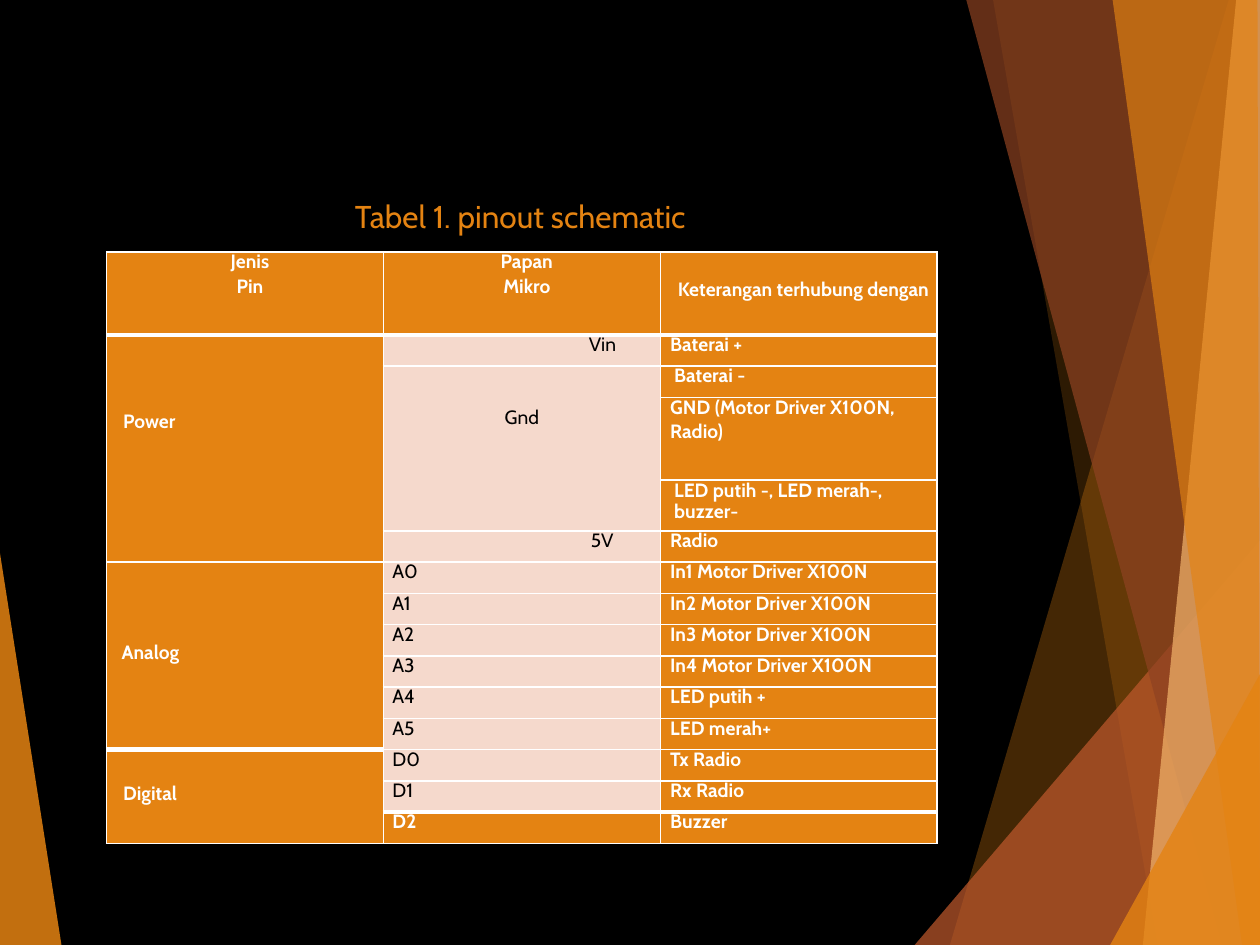
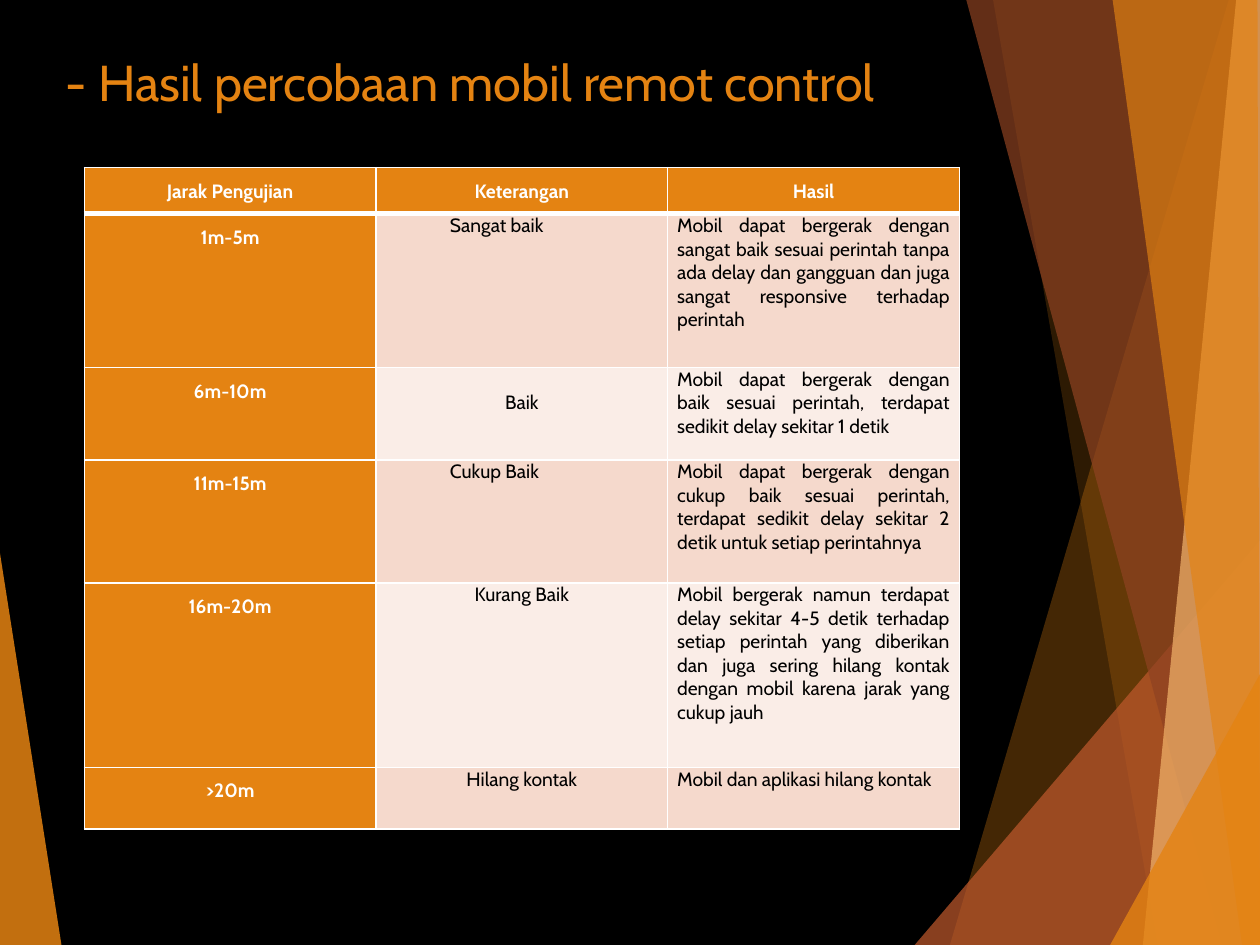
from dataclasses import dataclass, replace

from lxml import etree
from pptx import Presentation
from pptx.dml.color import RGBColor
from pptx.enum.text import PP_ALIGN
from pptx.oxml.ns import qn
from pptx.util import Cm, Pt

LEFT, CENTER, RIGHT, JUSTIFY = PP_ALIGN.LEFT, PP_ALIGN.CENTER, PP_ALIGN.RIGHT, PP_ALIGN.JUSTIFY


@dataclass(frozen=True)
class Theme:
    background: str = "000000"
    accent: str = "E48312"
    rust: str = "BD582C"
    brown: str = "8E4221"
    sand: str = "F3B56C"
    band_dark: str = "F5D9CC"
    band_light: str = "FAEDE7"
    light_text: str = "FFFFFF"
    dark_text: str = "000000"
    border: str = "FFFFFF"
    font: str = "Cabin"
    title_size: float = 28.8
    caption_size: float = 18
    cell_size: float = 11
    thin: float = 1
    thick: float = 3


@dataclass(frozen=True)
class CellStyle:
    fill: str
    color: str
    bold: bool = False
    align: PP_ALIGN = LEFT
    left: float = 0
    right: float = 0
    top: float = 0
    line_spacing: object = 1.0
    space_before: float = 0


THEME = Theme()
SLIDE_WIDTH, SLIDE_HEIGHT = 25.4, 19.05

FACETS = [
    (THEME.accent, 85, [(0, 11.15), (1.24, 19.05), (0, 19.05)]),
    (THEME.accent, 30, [(24.77, 0), (19.15, 19.05), (25.4, 19.05), (25.4, 0)]),
    (THEME.accent, 20, [(20.02, 0), (23.34, 19.05), (25.4, 19.05), (25.4, 0)]),
    (THEME.rust, 72, [(18.44, 19.05), (25.4, 10.9), (25.4, 19.05)]),
    (THEME.brown, 70, [(19.48, 0), (24.64, 19.05), (25.4, 19.05), (25.4, 0)]),
    (THEME.sand, 70, [(24.92, 0), (23.04, 19.05), (25.4, 19.05), (25.4, 0)]),
    (THEME.accent, 65, [(22.43, 0), (25.04, 19.05), (25.4, 19.05), (25.35, 0)]),
    (THEME.accent, 80, [(22.38, 19.05), (25.4, 13.59), (25.4, 19.05)]),
]

PINOUT_TITLE = "Tabel 1. pinout schematic"
PINOUT_HEADER = ("Jenis\nPin", "Papan\nMikro", "Keterangan terhubung dengan")
PINOUT_GROUPS = [
    ("Power", [
        ("Vin", ["Baterai +"]),
        ("Gnd", ["Baterai -", "GND (Motor Driver X100N,\nRadio)",
                 "LED putih -, LED merah-, buzzer-"]),
        ("5V", ["Radio"]),
    ]),
    ("Analog", [
        ("A0", ["In1 Motor Driver X100N"]),
        ("A1", ["In2 Motor Driver X100N"]),
        ("A2", ["In3 Motor Driver X100N"]),
        ("A3", ["In4 Motor Driver X100N"]),
        ("A4", ["LED putih +"]),
        ("A5", ["LED merah+"]),
    ]),
    ("Digital", [("D0", ["Tx Radio"]), ("D1", ["Rx Radio"]), ("D2", ["Buzzer"])]),
]
PINOUT_ROW, PINOUT_TALL_ROWS = 0.63, {0: 1.67, 3: 1.67, 4: 1.02}
PINOUT_OVERRIDES = {
    "Keterangan terhubung dengan": {"top": 0.55},
    "Power": {"left": 0.33, "top": 1.54},
    "Analog": {"left": 0.3, "top": 1.62},
    "Digital": {"left": 0.33, "top": 0.69},
    "Vin": {"align": RIGHT, "right": 0.89},
    "Gnd": {"align": CENTER, "left": 0, "top": 0.84},
    "5V": {"align": RIGHT, "right": 0.94},
    "Baterai -": {"left": 0.28},
    "LED putih -, LED merah-, buzzer-": {"left": 0.28},
    "D2": {"fill": THEME.accent, "color": THEME.light_text, "bold": True},
}

TRIAL_TITLE = "- Hasil percobaan mobil remot control"
TRIAL_HEADER = ("Jarak Pengujian", "Keterangan", "Hasil")
TRIAL_ROWS = [
    ("1m-5m", "Sangat baik",
     "Mobil dapat bergerak dengan sangat baik sesuai perintah tanpa ada delay dan "
     "gangguan dan juga sangat responsive terhadap perintah"),
    ("6m-10m", "Baik",
     "Mobil dapat bergerak dengan baik sesuai perintah, terdapat sedikit delay "
     "sekitar 1 detik"),
    ("11m-15m", "Cukup Baik",
     "Mobil dapat bergerak dengan cukup baik sesuai perintah, terdapat sedikit delay "
     "sekitar 2 detik untuk setiap perintahnya"),
    ("16m-20m", "Kurang Baik",
     "Mobil bergerak namun terdapat delay sekitar 4-5 detik terhadap setiap perintah "
     "yang diberikan dan juga sering hilang kontak dengan mobil karena jarak yang "
     "cukup jauh"),
    (">20m", "Hilang kontak", "Mobil dan aplikasi hilang kontak"),
]
TRIAL_LINE, TRIAL_LINES_PER_ROW = 0.62, [1.5, 5, 3, 4, 6, 2]
TRIAL_OVERRIDES = {
    "Sangat baik": {"align": LEFT, "left": 1.49},
    "Cukup Baik": {"align": LEFT, "left": 1.49},
    "Baik": {"top": 0.47},
}


def rgb(color):
    return RGBColor.from_string(color)


def format_runs(paragraph, size, color, bold=False):
    for run in paragraph.runs:
        run.font.name = THEME.font
        run.font.size = Pt(size)
        run.font.bold = bold
        run.font.color.rgb = rgb(color)


def add_facet(slide, color, opacity, points):
    corners = [(Cm(x), Cm(y)) for x, y in points]
    builder = slide.shapes.build_freeform(*corners[0])
    builder.add_line_segments(corners[1:], close=True)
    shape = builder.convert_to_shape()
    shape.shadow.inherit = False
    shape.line.fill.background()
    shape.fill.solid()
    shape.fill.fore_color.rgb = rgb(color)
    color_element = shape._element.spPr.find(qn("a:solidFill"))[0]
    etree.SubElement(color_element, qn("a:alpha")).set("val", str(opacity * 1000))


def add_base_slide(presentation):
    slide = presentation.slides.add_slide(presentation.slide_layouts[6])
    slide.background.fill.solid()
    slide.background.fill.fore_color.rgb = rgb(THEME.background)
    for facet in FACETS:
        add_facet(slide, *facet)
    return slide


def add_title(slide, text, box, size, align):
    text_frame = slide.shapes.add_textbox(*map(Cm, box)).text_frame
    text_frame.word_wrap = True
    text_frame.text = text
    text_frame.paragraphs[0].alignment = align
    format_runs(text_frame.paragraphs[0], size, THEME.accent)


def set_borders(cell, widths):
    properties = cell._tc.get_or_add_tcPr()
    for side, width in widths.items():
        line = etree.SubElement(properties, qn(f"a:ln{side}"), w=str(Pt(width)))
        fill = etree.SubElement(line, qn("a:solidFill"))
        etree.SubElement(fill, qn("a:srgbClr"), val=THEME.border)


def fill_cell(cell, text, style):
    cell.margin_left, cell.margin_right = Cm(style.left), Cm(style.right)
    cell.margin_top, cell.margin_bottom = Cm(style.top), 0
    cell.fill.solid()
    cell.fill.fore_color.rgb = rgb(style.fill)
    if not text:
        return
    cell.text_frame.text = text
    for paragraph in cell.text_frame.paragraphs:
        paragraph.alignment = style.align
        paragraph.line_spacing = style.line_spacing
        paragraph.space_before = Pt(style.space_before)
        format_runs(paragraph, THEME.cell_size, style.color, style.bold)


def add_table(slide, origin, column_width, heights, rows, style_for, thick_tops):
    columns = len(rows[0])
    frame = slide.shapes.add_table(
        len(rows), columns, *map(Cm, origin), Cm(column_width * columns), Cm(sum(heights)))
    table = frame.table
    for column in table.columns:
        column.width = Cm(column_width)
    for row_index, (height, texts) in enumerate(zip(heights, rows)):
        table.rows[row_index].height = Cm(height)
        for column_index, text in enumerate(texts):
            cell = table.cell(row_index, column_index)
            top, bottom = (
                THEME.thick if (edge, column_index) in thick_tops else THEME.thin
                for edge in (row_index, row_index + 1))
            set_borders(cell, {"L": THEME.thin, "R": THEME.thin, "T": top, "B": bottom})
            fill_cell(cell, text, style_for(row_index, column_index, text))
    return table


def flatten_groups(groups):
    rows, spans = [], []
    for group, pins in groups:
        group_start = len(rows) + 1
        for pin, targets in pins:
            spans.append((len(rows) + 1, len(rows) + len(targets), 1))
            for index, target in enumerate(targets):
                rows.append(("", "" if index else pin, target))
        spans.append((group_start, len(rows), 0))
        rows[group_start - 1] = (group, *rows[group_start - 1][1:])
    return rows, spans


def pinout_style(row, column, text):
    style = CellStyle(THEME.accent, THEME.light_text, True, left=0.2,
                      line_spacing=Pt(12.4), space_before=1.5)
    if row == 0:
        style = replace(style, align=CENTER)
    elif column == 1:
        style = replace(style, fill=THEME.band_dark, color=THEME.dark_text,
                        bold=False, left=0.18)
    return replace(style, **PINOUT_OVERRIDES.get(text, {}))


def trial_style(row, column, text):
    if row == 0 or column == 0:
        style = CellStyle(THEME.accent, THEME.light_text, True, CENTER, line_spacing=1.5)
    else:
        band = THEME.band_dark if row % 2 else THEME.band_light
        style = CellStyle(band, THEME.dark_text, align=CENTER if column == 1 else JUSTIFY)
    style = replace(style, left=0.19, right=0.19)
    return replace(style, **TRIAL_OVERRIDES.get(text, {}))


def build_pinout_slide(presentation):
    slide = add_base_slide(presentation)
    add_title(slide, PINOUT_TITLE, (0.43, 3.84, 20.12, 1.9), THEME.caption_size, CENTER)
    rows, spans = flatten_groups(PINOUT_GROUPS)
    rows.insert(0, PINOUT_HEADER)
    heights = [PINOUT_TALL_ROWS.get(row, PINOUT_ROW) for row in range(len(rows))]
    digital_row = [row[0] for row in rows].index("Digital")
    last_row = len(rows) - 1
    thick_tops = {(1, 0), (1, 1), (1, 2), (digital_row, 0), (last_row, 1), (last_row, 2)}
    table = add_table(slide, (2.15, 5.08), 5.58, heights, rows, pinout_style, thick_tops)
    for first, last, column in spans:
        if last > first:
            table.cell(first, column).merge(table.cell(last, column))


def build_trial_slide(presentation):
    slide = add_base_slide(presentation)
    add_title(slide, TRIAL_TITLE, (1.07, 0.9, 19.69, 1.27), THEME.title_size, LEFT)
    heights = [lines * TRIAL_LINE for lines in TRIAL_LINES_PER_ROW]
    thick_tops = {(1, column) for column in range(len(TRIAL_HEADER))}
    add_table(slide, (1.7, 3.38), 5.88, heights, [TRIAL_HEADER, *TRIAL_ROWS],
              trial_style, thick_tops)


def main():
    presentation = Presentation()
    presentation.slide_width, presentation.slide_height = Cm(SLIDE_WIDTH), Cm(SLIDE_HEIGHT)
    build_pinout_slide(presentation)
    build_trial_slide(presentation)
    presentation.save("out.pptx")


if __name__ == "__main__":
    main()
